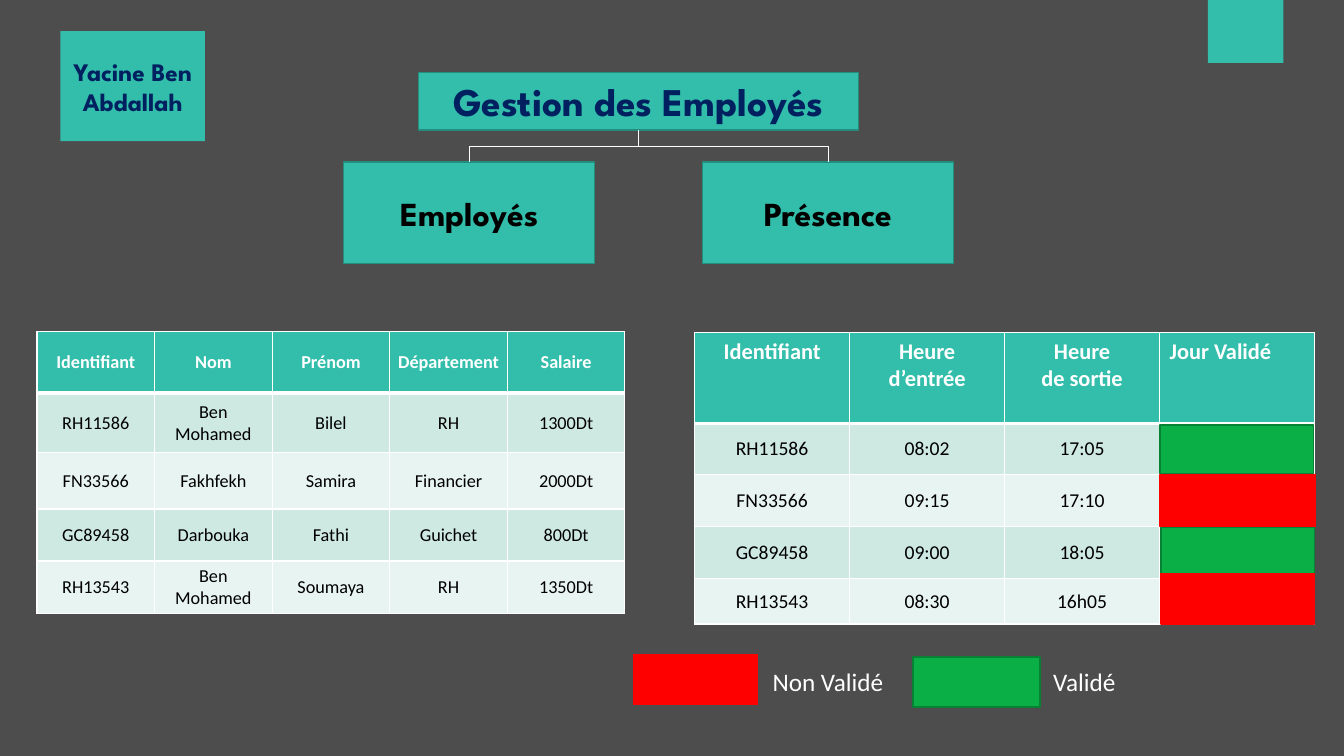
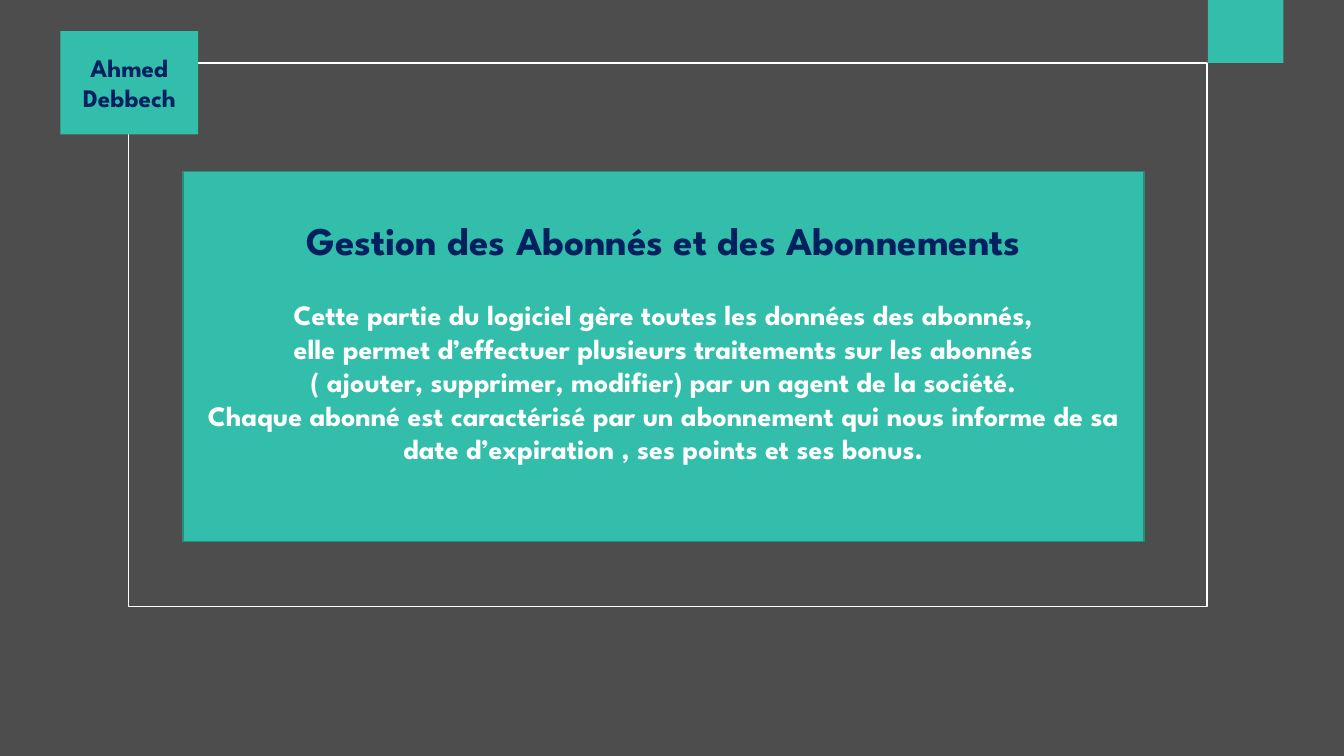
"""Build two slides on employee and subscriber management, on a 160 x 90 grid."""
import lxml.etree
import pptx
import pptx.dml.color
import pptx.enum.shapes
import pptx.enum.text
import pptx.oxml.ns
import pptx.util

COLS, ROWS = 160, 90
U = pptx.util.Inches(7.5) // ROWS
C = {"bg": "4D4D4D", "teal": "32BEAA", "edge": "258D7E", "navy": "002060",
     "white": "FFFFFF", "black": "000000", "green": "0AAF46", "moss": "078134",
     "red": "FF0000", "odd": "CEE8E2", "even": "E8F4F1"}
RGB = {k: pptx.dml.color.RGBColor.from_string(v) for k, v in C.items()}
HEAD = {"name": "League Spartan", "bold": True}
BODY = {"name": "Calibri", "bold": False}
CENTER, LEFT = pptx.enum.text.PP_ALIGN.CENTER, pptx.enum.text.PP_ALIGN.LEFT
TOP, MIDDLE = pptx.enum.text.MSO_ANCHOR.TOP, pptx.enum.text.MSO_ANCHOR.MIDDLE
qn = pptx.oxml.ns.qn


def box(s, grid, fill=None, line=None):
    sp = s.shapes.add_shape(pptx.enum.shapes.MSO_SHAPE.RECTANGLE, *[round(v * U) for v in grid])
    sp.shadow.inherit = False
    for part, color in ((sp.fill, fill), (sp.line.fill, line)):
        if color:
            part.solid()
            part.fore_color.rgb = RGB[color]
        else:
            part.background()
    if line:
        sp.line.width = pptx.util.Pt(1)
    return sp


def write(tf, lines, size, color, fmt, align=CENTER):
    tf.word_wrap = True
    for i, line in enumerate(lines):
        p = tf.paragraphs[0] if i == 0 else tf.add_paragraph()
        p.alignment = align
        r = p.add_run()
        r.text = line
        r.font.color.rgb = RGB[color]
        for k, v in {**fmt, "size": pptx.util.Pt(size)}.items():
            setattr(r.font, k, v)


prs = pptx.Presentation()
prs.slide_width, prs.slide_height = COLS * U, ROWS * U
bg = prs.slide_master.background.fill
bg.solid()
bg.fore_color.rgb = RGB["bg"]
staff, members = [prs.slides.add_slide(prs.slide_layouts[6]) for _ in range(2)]

title = box(staff, (49.8, 8.6, 52.4, 6.9), "teal", "edge")
title.text_frame.vertical_anchor = TOP
write(title.text_frame, ["Gestion des Employés"], 28, "navy", HEAD)

for label, x, rot, flip in (("Présence", 83.6, 270, "1"), ("Employés", 40.9, 90, "0")):
    sp = box(staff, (x, 19.3, 29.9, 12.1), "teal", "edge")
    write(sp.text_frame, [label], 24, "black", HEAD)
    x1, y1 = title.left + title.width // 2, title.top + title.height
    x2, y2 = sp.left + sp.width // 2, sp.top
    cx = staff.shapes.add_connector(pptx.enum.shapes.MSO_CONNECTOR.ELBOW, x1, y1, x2, y2)
    cx.begin_connect(title, 2)
    cx.end_connect(sp, 0)
    cx.width, cx.height = y2 - y1, abs(x2 - x1)
    cx.left, cx.top = (x1 + x2 - cx.width) // 2, (y1 + y2 - cx.height) // 2
    xfrm = cx.element.spPr.find(qn("a:xfrm"))
    xfrm.set("rot", str(rot * 60000))
    xfrm.set("flipH", flip)
    cx.line.color.rgb = RGB["white"]
    cx.line.width = pptx.util.Pt(0.5)
    lxml.etree.SubElement(cx.element.spPr, qn("a:effectLst"))

presence = [
    ["Identifiant", "Heure d’entrée", "Heure\nde sortie", "Jour Validé"],
    ["RH11586", "08:02", "17:05", ""],
    ["FN33566", "09:15", "17:10", ""],
    ["GC89458", "09:00", "18:05", ""],
    ["RH13543", "08:30", "16h05", ""]]
employees = [
    ["Identifiant", "Nom", "Prénom", "Département", "Salaire"],
    ["RH11586", "Ben Mohamed", "Bilel", "RH", "1300Dt"],
    ["FN33566", "Fakhfekh", "Samira", "Financier", "2000Dt"],
    ["GC89458", "Darbouka", "Fathi", "Guichet", "800Dt"],
    ["RH13543", "Ben Mohamed", "Soumaya", "RH", "1350Dt"]]
tables = [
    (presence, 82.7, 39.6, 18.45, (10.8, 6.1, 6.2, 6.2, 5.4), (16, 14), TOP, (1.2, 0.6)),
    (employees, 4.4, 39.5, 14, (7.3, 7.1, 6.7, 6.2, 6.2), (13, 13), MIDDLE, (0.84, 0.48))]
for data, x, y, col, heights, sizes, anchor, (mx, my) in tables:
    n = len(data[0])
    grid = (x, y, n * col, sum(heights))
    tbl = staff.shapes.add_table(len(data), n, *[round(v * U) for v in grid]).table
    tbl.horz_banding = False
    for c in tbl.columns:
        c.width = round(col * U)
    for i, (row, h) in enumerate(zip(data, heights)):
        tbl.rows[i].height = round(h * U)
        for j, value in enumerate(row):
            cell = tbl.cell(i, j)
            tcPr = cell._tc.get_or_add_tcPr()
            for side in "LRTB":
                thick = (i, side) in ((0, "B"), (1, "T"))
                ln = lxml.etree.SubElement(tcPr, qn("a:ln" + side), w=str(pptx.util.Pt(3 if thick else 1)))
                fill = lxml.etree.SubElement(ln, qn("a:solidFill"))
                lxml.etree.SubElement(fill, qn("a:srgbClr"), val=C["white"])
            cell.fill.solid()
            cell.fill.fore_color.rgb = RGB["teal" if i == 0 else "odd" if i % 2 else "even"]
            cell.vertical_anchor = MIDDLE if i else anchor
            cell.margin_left = cell.margin_right = round(mx * U)
            cell.margin_top = cell.margin_bottom = round(my * U)
            if value:
                write(cell.text_frame, value.split("\n"), sizes[i > 0], "black" if i else "white",
                      {**BODY, "bold": i == 0}, LEFT if value == "Jour Validé" else CENTER)

marks = [("green", 138.1, 50.6, 18.3, 5.8), ("red", 138.1, 56.5, 18.5, 6.2),
         ("green", 138.2, 62.8, 18.3, 5.8), ("red", 138.2, 68.3, 18.3, 6),
         ("red", 75.4, 77.9, 14.8, 6), ("green", 108.7, 78.2, 15.1, 6)]
for color, *grid in marks:
    box(staff, grid, color, "moss" if color == "green" else "red")
for label, x in (("Non Validé", 90.8), ("Validé", 124.2)):
    tb = staff.shapes.add_textbox(*[round(v * U) for v in (x, 78.7, 17, 4.8)])
    write(tb.text_frame, [label], 18, "white", BODY, LEFT)

tf = box(members, (21.8, 20.4, 114.4, 44.1), "teal", "edge").text_frame
tf.vertical_anchor = TOP
tf.margin_top = round(5.4 * U)
write(tf, ["Gestion des Abonnés et des Abonnements"], 28, "navy", HEAD)
tf.paragraphs[0].space_after = pptx.util.Pt(24)
for line in (
        "Cette partie du logiciel gère toutes les données des abonnés,",
        "elle permet d’effectuer plusieurs traitements sur les abonnés",
        "( ajouter, supprimer, modifier) par un agent de la société.",
        "Chaque abonné est caractérisé par un abonnement qui nous informe de sa "
        "date d’expiration , ses points et ses bonus."):
    p = tf.add_paragraph()
    p.alignment = CENTER
    r = p.add_run()
    r.text = line
    r.font.color.rgb = RGB["white"]
    for k, v in {**HEAD, "size": pptx.util.Pt(20)}.items():
        setattr(r.font, k, v)
box(members, (15.3, 7.5, 128.4, 64.7), line="white")

for s, author, w, h in ((staff, "Yacine Ben Abdallah", 17.2, 13.1),
                        (members, "Ahmed Debbech", 16.4, 12.3)):
    box(s, (143.8, 0, 9, 7.5), "teal")
    write(box(s, (7.2, 3.7, w, h), "teal").text_frame, [author], 18, "navy", HEAD)

prs.save("out.pptx")
